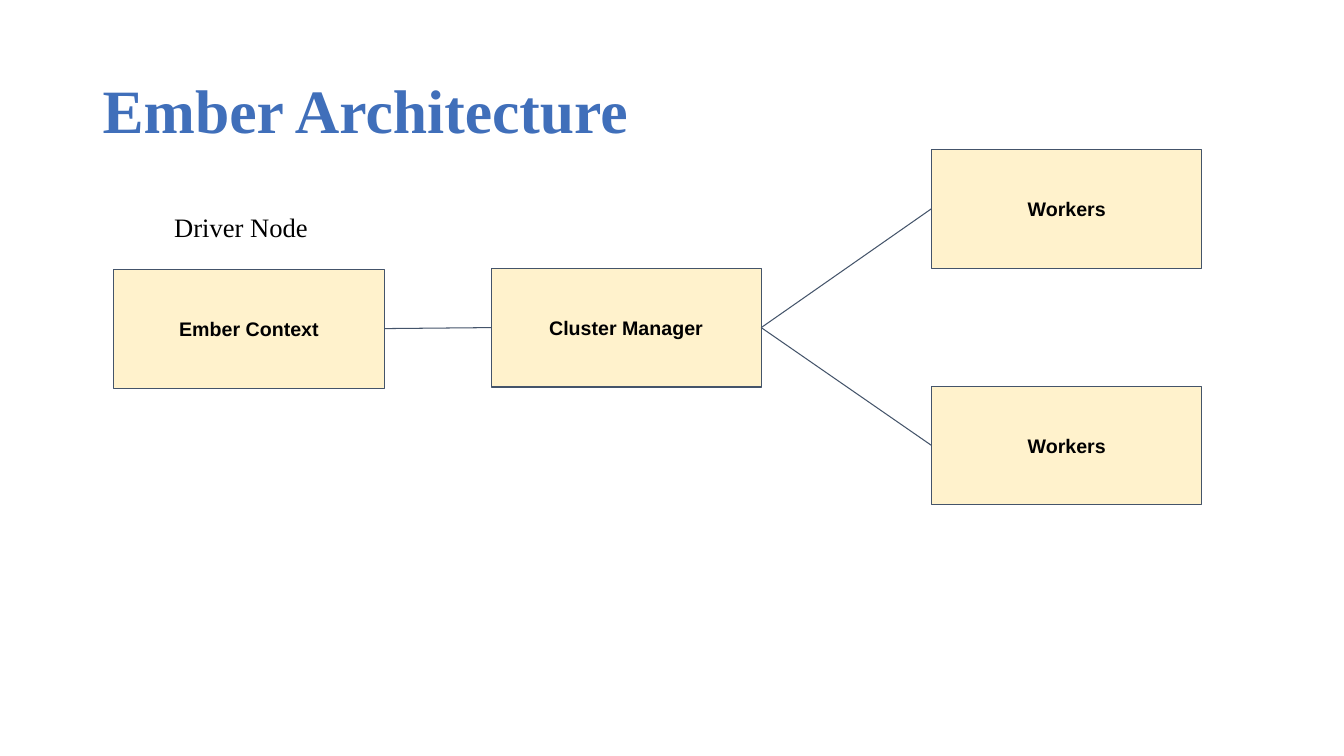
"""Draw the Ember architecture slide: driver, cluster manager and workers."""
from dataclasses import dataclass

from lxml.etree import SubElement
from pptx import Presentation
from pptx.dml.color import RGBColor
from pptx.enum.shapes import MSO_CONNECTOR as Connector, MSO_SHAPE as Preset
from pptx.enum.text import MSO_ANCHOR as Anchor, PP_ALIGN as Align
from pptx.oxml.ns import qn
from pptx.shapes.autoshape import Shape
from pptx.shapes.connector import Connector as Link
from pptx.slide import Slide
from pptx.util import Inches, Pt

NODE_WIDTH, NODE_HEIGHT = 2.68, 1.18
LEFT_SITE, RIGHT_SITE = 1, 3
NODE_FILL, NODE_LINE = "FFF2CC", "44546A"


@dataclass(frozen=True)
class TextStyle:
    font: str
    size: float
    color: str
    bold: bool = False
    align: Align = Align.LEFT
    anchor: Anchor = Anchor.TOP
    inset_y: float = 0.1
    line_spacing: float = 1.0


@dataclass(frozen=True)
class Label:
    text: str
    left: float
    top: float
    width: float
    height: float
    style: TextStyle


@dataclass(frozen=True)
class Node:
    text: str
    left: float
    top: float


TITLE_STYLE = TextStyle("Times New Roman", 44, "406FBA", bold=True,
                        anchor=Anchor.MIDDLE, inset_y=0.05, line_spacing=0.9)
CAPTION_STYLE = TextStyle("Times New Roman", 19, "000000")
NODE_STYLE = TextStyle("Arial", 14, "000000", bold=True,
                       align=Align.CENTER, anchor=Anchor.MIDDLE)

LABELS = (
    Label("Ember Architecture", 0.92, 0.4, 11.5, 1.45, TITLE_STYLE),
    Label("Driver Node", 1.63, 1.99, 1.67, 0.84, CAPTION_STYLE),
)
DRIVER = Node("Ember Context", 1.13, 2.67)
MANAGER = Node("Cluster Manager", 4.87, 2.66)
WORKERS = tuple(Node("Workers", 9.24, top) for top in (1.48, 3.83))


def rgb(value: str) -> RGBColor:
    return RGBColor.from_string(value)


def apply(target: object, values: dict[str, object]) -> None:
    for name, value in values.items():
        setattr(target, name, value)


def write_text(shape: Shape, text: str, style: TextStyle) -> None:
    frame = shape.text_frame
    apply(frame, {
        "word_wrap": True,
        "vertical_anchor": style.anchor,
        "margin_left": Inches(0.1),
        "margin_right": Inches(0.1),
        "margin_top": Inches(style.inset_y),
        "margin_bottom": Inches(style.inset_y),
    })
    paragraph = frame.paragraphs[0]
    apply(paragraph, {"alignment": style.align, "line_spacing": style.line_spacing})
    run = paragraph.add_run()
    run.text = text
    apply(run.font, {"name": style.font, "size": Pt(style.size), "bold": style.bold})
    run.font.color.rgb = rgb(style.color)


def outline(item: Shape | Link) -> None:
    item.line.color.rgb = rgb(NODE_LINE)
    item.line.width = Pt(0.75)


def draw_label(slide: Slide, label: Label) -> None:
    box = slide.shapes.add_textbox(Inches(label.left), Inches(label.top),
                                   Inches(label.width), Inches(label.height))
    write_text(box, label.text, label.style)


def draw_node(slide: Slide, node: Node) -> Shape:
    box = slide.shapes.add_shape(Preset.RECTANGLE, Inches(node.left), Inches(node.top),
                                 Inches(NODE_WIDTH), Inches(NODE_HEIGHT))
    box.shadow.inherit = False
    box.fill.solid()
    box.fill.fore_color.rgb = rgb(NODE_FILL)
    outline(box)
    write_text(box, node.text, NODE_STYLE)
    return box


def draw_link(slide: Slide, source: Shape, target: Shape) -> None:
    link = slide.shapes.add_connector(Connector.STRAIGHT, 0, 0, 0, 0)
    link.begin_connect(source, RIGHT_SITE)
    link.end_connect(target, LEFT_SITE)
    outline(link)
    SubElement(link._element.spPr, qn("a:effectLst"))


def main() -> None:
    deck = Presentation()
    apply(deck, {"slide_width": Inches(13.33), "slide_height": Inches(7.5)})
    slide = deck.slides.add_slide(deck.slide_layouts[6])
    for label in LABELS:
        draw_label(slide, label)
    driver = draw_node(slide, DRIVER)
    manager = draw_node(slide, MANAGER)
    workers = [draw_node(slide, worker) for worker in WORKERS]
    draw_link(slide, driver, manager)
    for worker in workers:
        draw_link(slide, manager, worker)
    deck.save("out.pptx")


if __name__ == "__main__":
    main()
